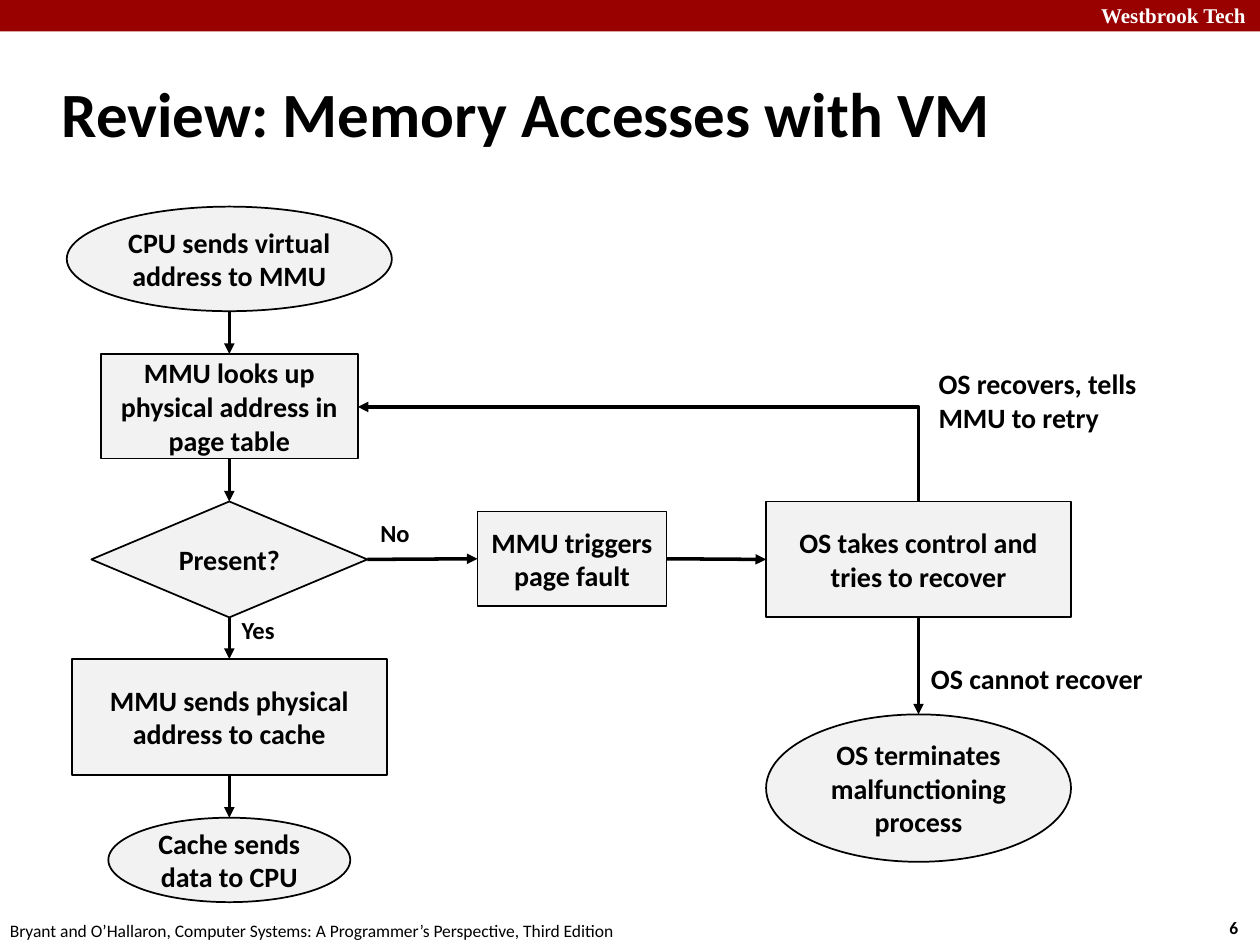
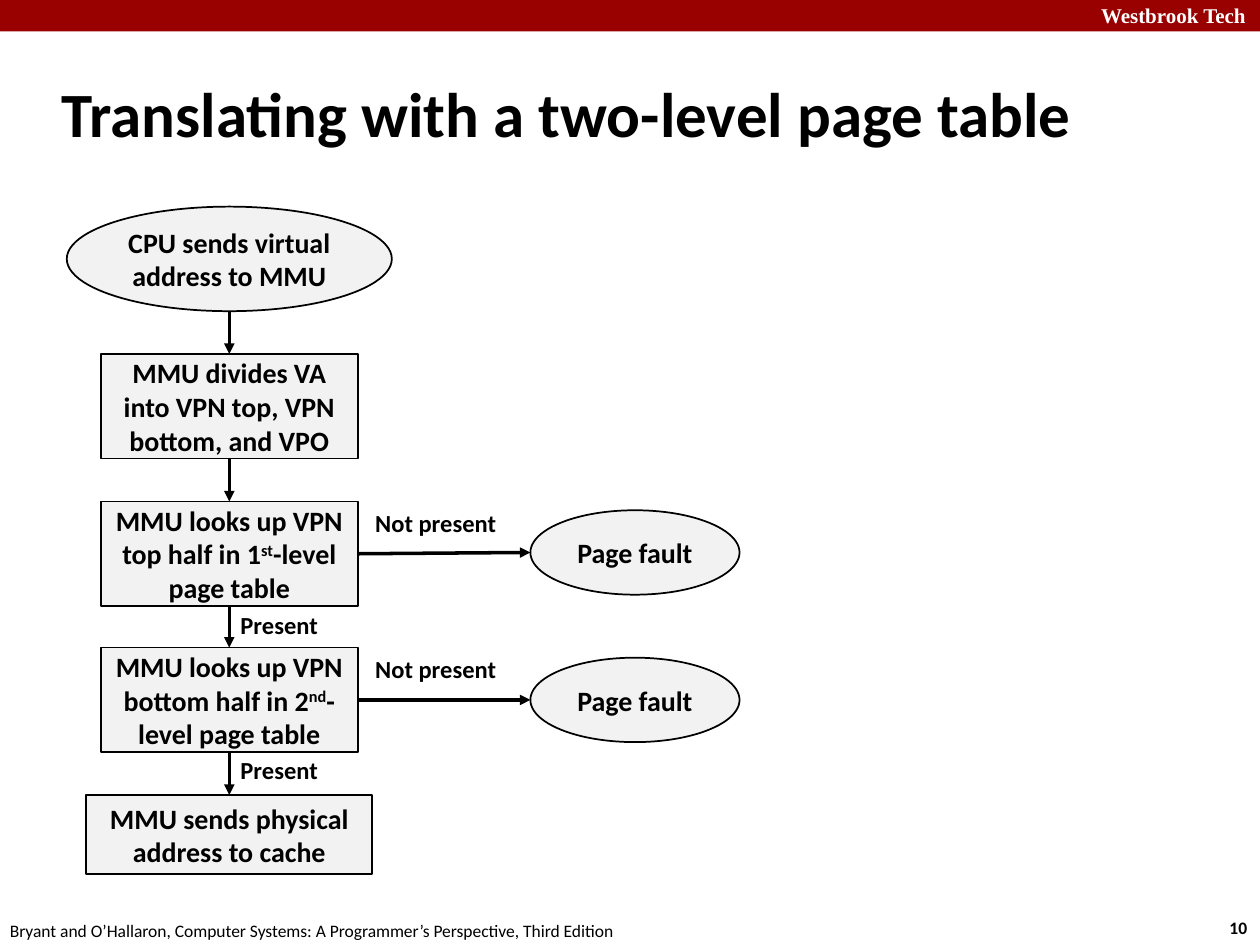
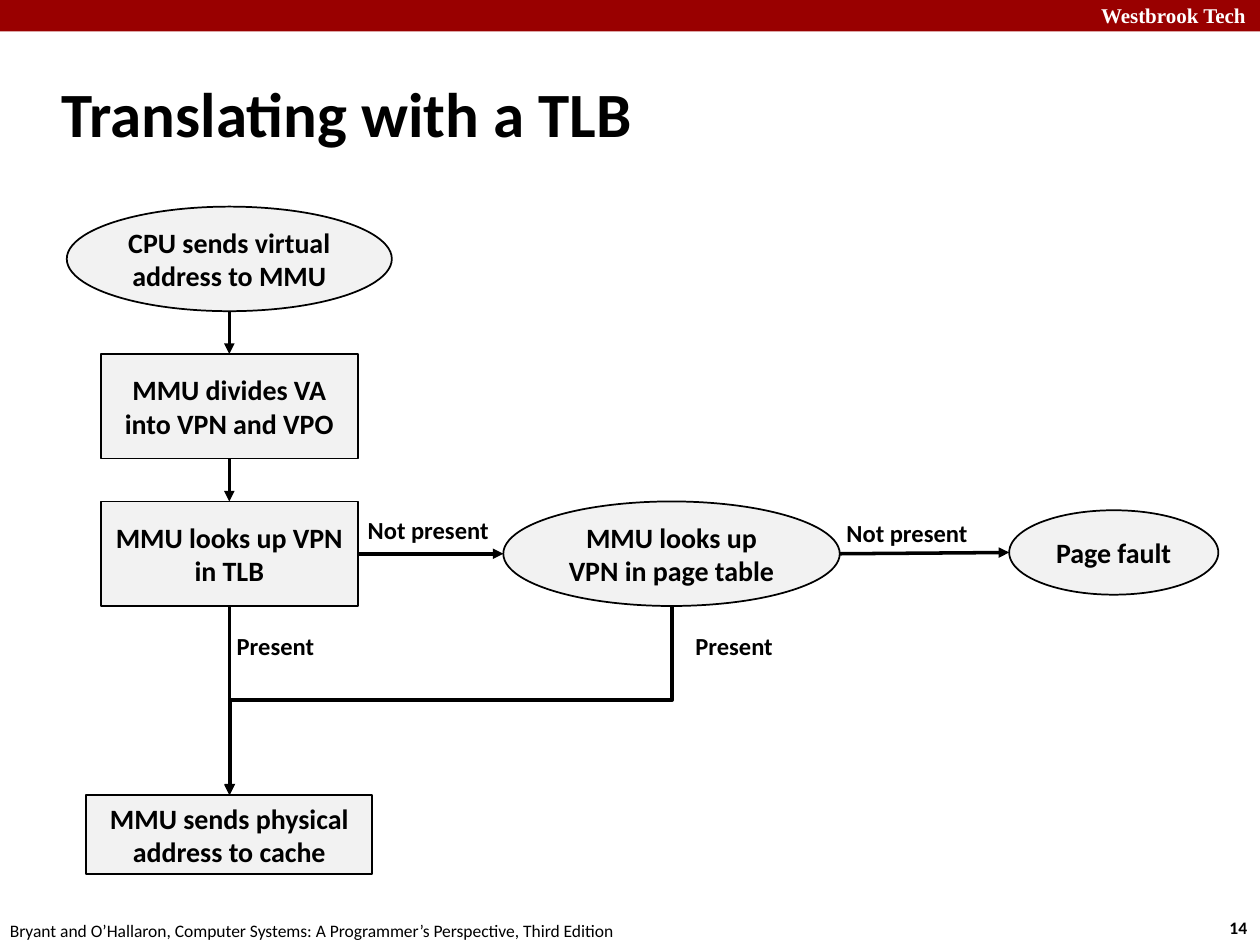
from lxml.etree import SubElement
from pptx import Presentation
from pptx.dml.color import RGBColor
from pptx.enum.shapes import MSO_CONNECTOR as Link, MSO_SHAPE as Form
from pptx.enum.text import MSO_ANCHOR as Anchor, PP_ALIGN as Align
from pptx.oxml.ns import qn
from pptx.util import Inches, Pt

hue = RGBColor.from_string
RED, GREY, BLACK, WHITE = "990000", "F2F2F2", "000000", "FFFFFF"
OVAL, RECT, FORK = Form.OVAL, Form.RECTANGLE, Form.FLOWCHART_DECISION
TOP, LEFT, BOTTOM, RIGHT = range(4)
SIDES = [(0.5, 0), (0, 0.5), (0.5, 1), (1, 0.5)]
MAIN, SIDE = 1.82, 7.29  # centre lines of the flow columns


def write(frame, text, size, bold=True, align=Align.LEFT, color=BLACK, face="Calibri"):
    """Fill a frame; text between ^ marks is raised."""
    for i, line in enumerate(text.split("\n")):
        para = frame.add_paragraph() if i else frame.paragraphs[0]
        para.alignment = align
        font = para.font
        font.name, font.size, font.bold = face, Pt(size), bold
        font.color.rgb = hue(color)
        for j, part in enumerate(line.split("^")):
            run = para.add_run()
            run.text = part
            if j % 2:
                run.font._element.set("baseline", "30000")


def style(link):
    """Black two-point line with an arrowhead and no shadow."""
    link.line.color.rgb = hue(BLACK)
    link.line.width = Pt(2)
    SubElement(link.line._get_or_add_ln(), qn("a:tailEnd"), type="triangle")
    SubElement(link.element.spPr, qn("a:effectLst"))


# Steps: name -> form, centre x, top, width, height, text
start = (OVAL, MAIN, 1.64, 2.58, 0.83, "CPU sends virtual address to MMU")
send = (RECT, MAIN, 6.31, 2.27, 0.63, "MMU sends physical address to cache")

# Arrows: from, side, to, side. Labels: left, top, width, size, text.
# Elbows: preset, box start, box end, turn in degrees.
decks = [
    dict(
        title="Review: Memory Accesses with VM", page=6,
        steps={
            "start": start,
            "look": (RECT, MAIN, 2.81, 2.04, 0.83, "MMU looks up physical address in page table"),
            "fork": (FORK, MAIN, 3.98, 2.19, 0.92, "Present?"),
            "fault": (RECT, 4.54, 4.06, 1.5, 0.75, "MMU triggers page fault"),
            "end": (OVAL, SIDE, 5.67, 2.42, 1.17, "OS terminates malfunctioning process"),
            "fix": (RECT, SIDE, 3.98, 2.42, 0.92, "OS takes control and tries to recover"),
            "send": (RECT, MAIN, 5.23, 2.5, 0.92, "MMU sends physical address to cache"),
            "data": (OVAL, MAIN, 6.49, 1.92, 0.67, "Cache sends data to CPU"),
        },
        arrows=[
            ("start", BOTTOM, "look", TOP), ("look", BOTTOM, "fork", TOP),
            ("fork", BOTTOM, "send", TOP), ("send", BOTTOM, "data", TOP),
            ("fork", RIGHT, "fault", LEFT), ("fault", RIGHT, "fix", LEFT),
            ("fix", BOTTOM, "end", TOP),
        ],
        elbows=[("bentConnector2", (4.69, 5.83), (5.44, 1.38), 270)],
        labels=[
            (2.92, 4.06, 0.44, 14, "No"), (1.82, 4.83, 0.46, 14, "Yes"),
            (7.29, 5.2, 1.91, 16, "OS cannot recover"),
            (7.35, 2.86, 1.79, 16, "OS recovers, tells\nMMU to retry"),
        ],
    ),
    dict(
        title="Translating with a two-level page table", page=10,
        steps={
            "start": start,
            "split": (RECT, MAIN, 2.81, 2.04, 0.83,
                      "MMU divides VA into VPN top, VPN bottom, and VPO"),
            "first": (RECT, MAIN, 3.98, 2.04, 0.83,
                      "MMU looks up VPN top half in 1^st^-level page table"),
            "fault 1": (OVAL, 5.04, 4.05, 1.66, 0.67, "Page fault"),
            "second": (RECT, MAIN, 5.14, 2.04, 0.83,
                       "MMU looks up VPN bottom half in 2^nd^-level page table"),
            "fault 2": (OVAL, 5.04, 5.22, 1.66, 0.67, "Page fault"),
            "send": send,
        },
        arrows=[
            ("start", BOTTOM, "split", TOP), ("split", BOTTOM, "first", TOP),
            ("first", BOTTOM, "second", TOP), ("second", BOTTOM, "send", TOP),
            ("first", RIGHT, "fault 1", LEFT), ("second", RIGHT, "fault 2", LEFT),
        ],
        elbows=[],
        labels=[
            (2.88, 3.98, 1.17, 14, "Not present"), (1.81, 4.79, 0.82, 14, "Present"),
            (2.88, 5.14, 1.17, 14, "Not present"), (1.81, 5.94, 0.82, 14, "Present"),
        ],
    ),
    dict(
        title="Translating with a TLB", page=14,
        steps={
            "start": start,
            "split": (RECT, MAIN, 2.81, 2.04, 0.83, "MMU divides VA into VPN and VPO"),
            "look": (RECT, MAIN, 3.98, 2.04, 0.83, "MMU looks up VPN in TLB"),
            "table": (OVAL, 5.33, 3.98, 2.67, 0.83, "MMU looks up VPN in page table"),
            "fault": (OVAL, 8.84, 4.05, 1.66, 0.67, "Page fault"),
            "send": send,
        },
        arrows=[
            ("start", BOTTOM, "split", TOP), ("split", BOTTOM, "look", TOP),
            ("look", BOTTOM, "send", TOP), ("look", RIGHT, "table", LEFT),
            ("table", RIGHT, "fault", LEFT),
        ],
        elbows=[("bentConnector3", (2.83, 3.8), (4.33, 7.31), 90)],
        labels=[
            (2.82, 4.04, 1.17, 14, "Not present"), (1.78, 4.96, 0.82, 14, "Present"),
            (6.62, 4.06, 1.17, 14, "Not present"), (5.42, 4.96, 0.82, 14, "Present"),
        ],
    ),
]

prs = Presentation()
prs.slide_width, prs.slide_height = Inches(10), Inches(7.5)

for deck in decks:
    slide = prs.slides.add_slide(prs.slide_layouts[5])
    shapes = slide.shapes

    # Band, school name, page number and book
    band = shapes.add_shape(RECT, 0, 0, prs.slide_width, Inches(0.25))
    band.shadow.inherit = False
    band.fill.solid()
    band.fill.fore_color.rgb = hue(RED)
    band.line.fill.background()
    school = shapes.add_textbox(Inches(8.64), Inches(-0.03), Inches(1.43), Inches(0.3))
    school.text_frame.word_wrap = True
    write(school.text_frame, "Westbrook Tech", 12, color=WHITE, face="Times New Roman")
    page = shapes.add_textbox(Inches(9.66), Inches(7.23), Inches(0.37), Inches(0.27))
    write(page.text_frame, str(deck["page"]), 10)
    book = shapes.add_textbox(Inches(-0.02), Inches(7.25), Inches(5.08), Inches(0.27))
    write(book.text_frame, "Bryant and O’Hallaron, Computer Systems: "
          "A Programmer’s Perspective, Third Edition", 10, bold=False)

    # Title
    title = shapes.title
    title.left, title.top = Inches(0.39), Inches(0.48)
    title.width, title.height = Inches(8.3), Inches(0.83)
    title.text_frame.vertical_anchor = Anchor.MIDDLE
    write(title.text_frame, deck["title"], 36)

    # Steps
    boxes = {}
    for name, (form, mid, top, wide, high, text) in deck["steps"].items():
        box = shapes.add_shape(form, Inches(mid - wide / 2), Inches(top),
                               Inches(wide), Inches(high))
        box.shadow.inherit = False
        box.fill.solid()
        box.fill.fore_color.rgb = hue(GREY)
        box.line.color.rgb = hue(BLACK)
        box.line.width = Pt(1)
        box.text_frame.word_wrap = True
        box.text_frame.vertical_anchor = Anchor.MIDDLE
        write(box.text_frame, text, 16, align=Align.CENTER)
        boxes[name] = box

    # Straight arrows, joined wherever the side is a numbered site
    for tail, out, head, into in deck["arrows"]:
        ends = []
        for name, side in ((tail, out), (head, into)):
            box, (across, down) = boxes[name], SIDES[side]
            ends += [int(box.left + across * box.width), int(box.top + down * box.height)]
        link = shapes.add_connector(Link.STRAIGHT, *ends)
        if boxes[tail].auto_shape_type != OVAL:
            link.begin_connect(boxes[tail], out)
        if boxes[head].auto_shape_type != OVAL or into == TOP:
            link.end_connect(boxes[head], into)
        style(link)

    # Bent arrows
    for preset, begin, end, turn in deck["elbows"]:
        link = shapes.add_connector(Link.ELBOW, *map(Inches, begin + end))
        link.element.spPr.find(qn("a:xfrm")).set("rot", str(turn * 60000))
        link.element.spPr.find(qn("a:prstGeom")).set("prst", preset)
        style(link)

    # Labels
    for left, top, wide, size, text in deck["labels"]:
        high = 0.64 if "\n" in text else 0.37 if size == 16 else 0.34
        label = shapes.add_textbox(Inches(left), Inches(top), Inches(wide), Inches(high))
        write(label.text_frame, text, size)

prs.save("out.pptx")
